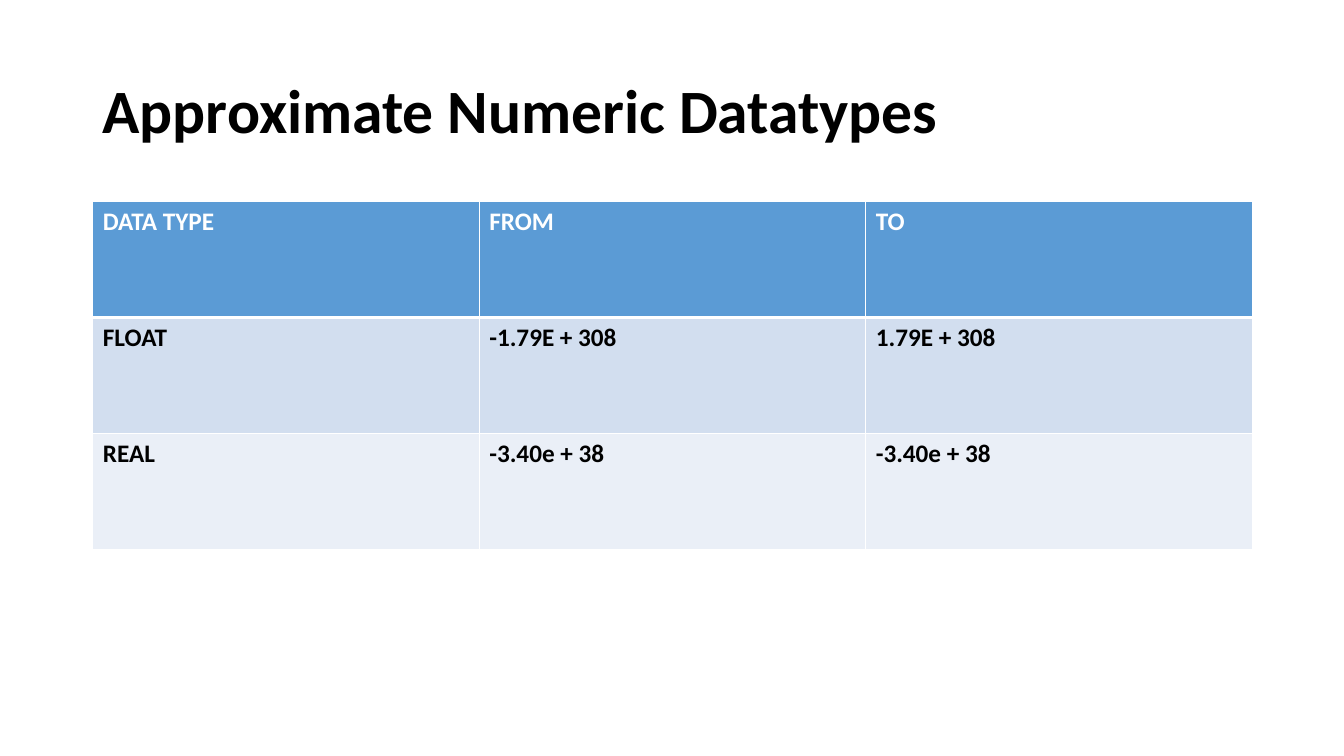
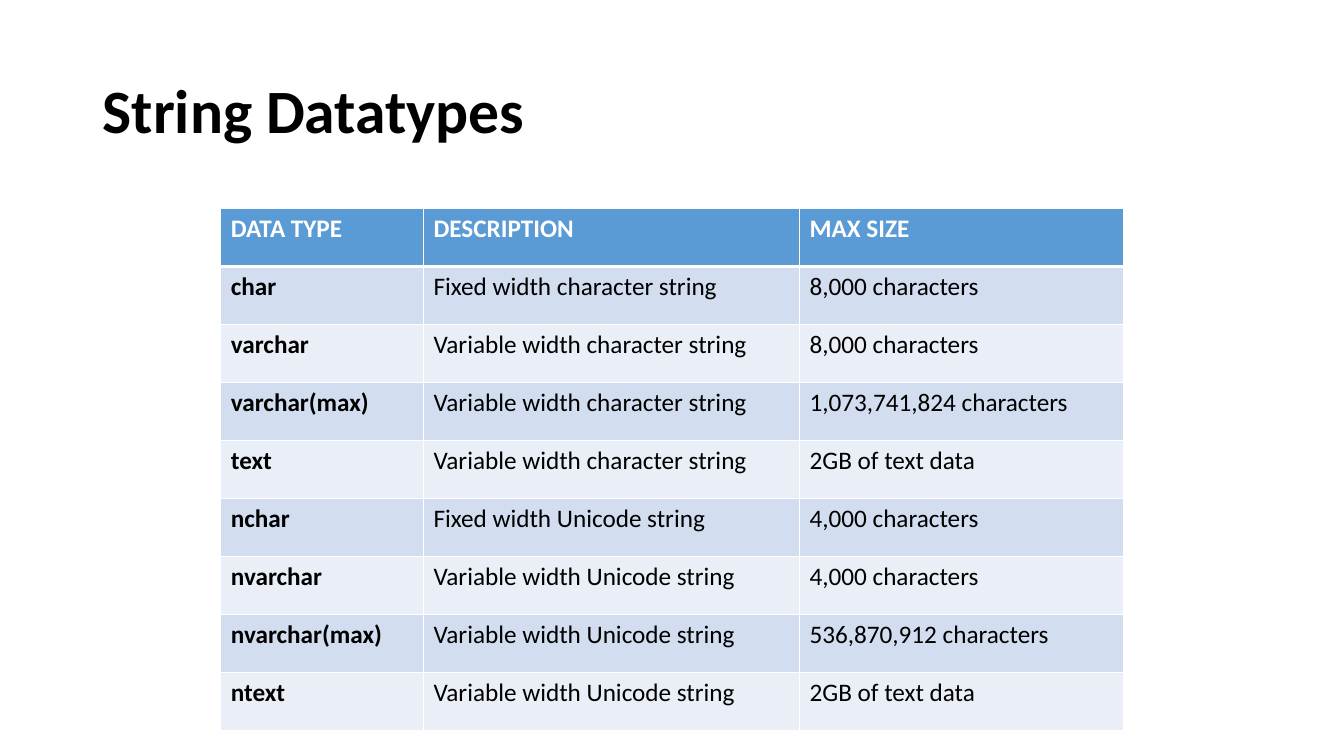
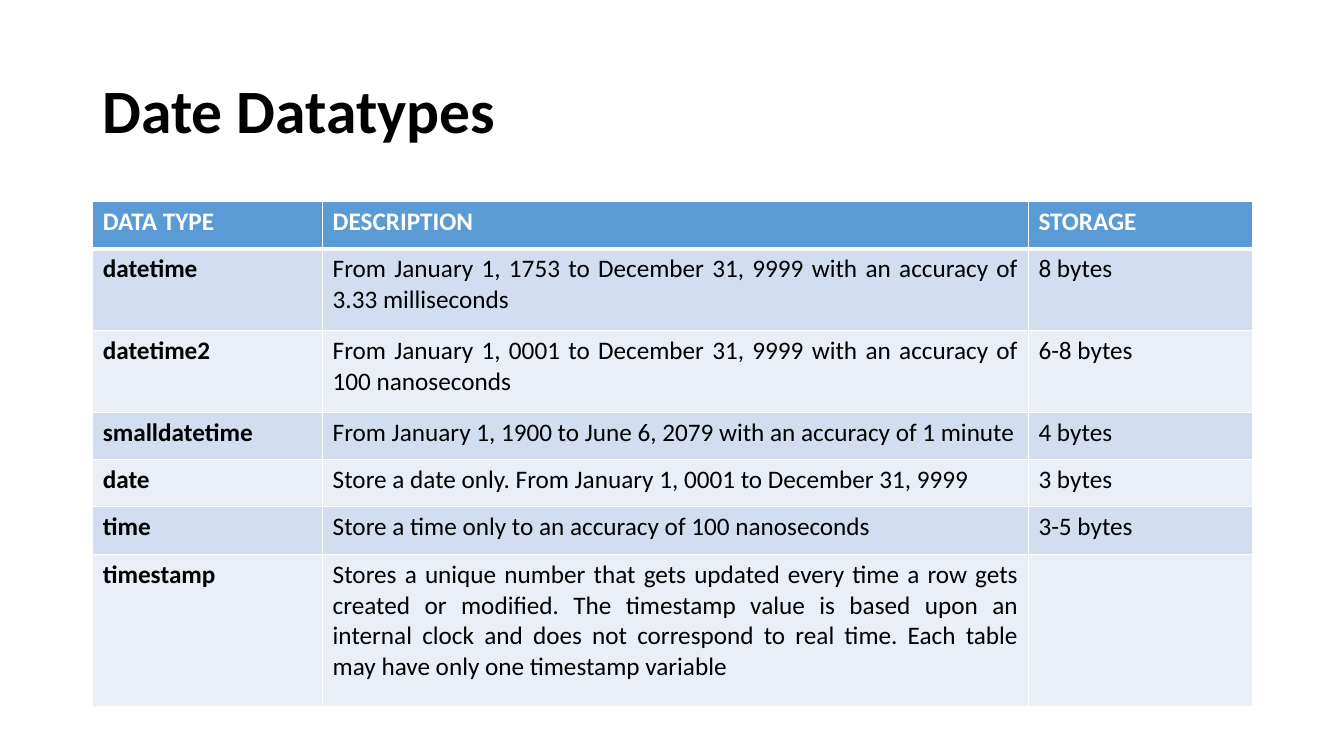
from lxml import etree
from pptx import Presentation, util as u
from pptx.dml.color import RGBColor
from pptx.enum import text
from pptx.oxml.ns import qn

FONT = "Calibri"
BLACK, WHITE = "000000", "FFFFFF"
HEADER_FILL = "5B9BD5"
BAND_FILLS = ("D2DEEF", "EAEFF7")
LEFT, WIDTH = 0.92, 11.5


def rgb(value):
    return RGBColor.from_string(value)


def set_borders(cell, widths):
    """Draw white cell edges; widths maps L, R, T and B to points."""
    properties = cell._tc.get_or_add_tcPr()
    for side, points in widths.items():
        line = etree.SubElement(properties, qn(f"a:ln{side}"), w=str(u.Pt(points)))
        fill = etree.SubElement(line, qn("a:solidFill"))
        etree.SubElement(fill, qn("a:srgbClr"), val=WHITE)


class Deck:
    def __init__(self):
        self.presentation = Presentation()
        self.presentation.slide_width = u.Inches(13.33)
        self.presentation.slide_height = u.Inches(7.5)
        self.slide = None

    def style(self, paragraph, size, color, bold):
        formats = {"name": FONT, "size": u.Pt(size), "bold": bold}
        for attribute, value in formats.items():
            setattr(paragraph.font, attribute, value)
        paragraph.font.color.rgb = rgb(color)

    def start_slide(self, heading):
        layout = self.presentation.slide_layouts[6]
        self.slide = self.presentation.slides.add_slide(layout)
        title = self.slide.shapes.add_textbox(
            *map(u.Inches, (LEFT, 0.4, WIDTH, 1.45))).text_frame
        title.word_wrap = True
        title.vertical_anchor = text.MSO_ANCHOR.MIDDLE
        title.text = heading
        title.paragraphs[0].line_spacing = 0.9
        self.style(title.paragraphs[0], 44, BLACK, True)

    def table(self, rows, widths, heights, left=LEFT, top=2,
              bold_columns=(0,), justified_columns=()):
        grid = self.slide.shapes.add_table(
            len(rows), len(widths),
            *map(u.Inches, (left, top, sum(widths), sum(heights)))).table
        for column, width in zip(grid.columns, widths):
            column.width = u.Inches(width)
        for r, (values, height) in enumerate(zip(rows, heights)):
            grid.rows[r].height = u.Inches(height)
            for c, value in enumerate(values):
                self.cell(grid.cell(r, c), value, r,
                          bold=r == 0 or c in bold_columns,
                          justified=r > 0 and c in justified_columns)

    def cell(self, cell, value, row, bold, justified):
        header = row == 0
        set_borders(cell, {"L": 1, "R": 1, "T": 3 if row == 1 else 1,
                           "B": 3 if header else 1})
        cell.fill.solid()
        cell.fill.fore_color.rgb = rgb(
            HEADER_FILL if header else BAND_FILLS[(row - 1) % 2])
        cell.text = value
        paragraph = cell.text_frame.paragraphs[0]
        if justified:
            paragraph.alignment = text.PP_ALIGN.JUSTIFY
        self.style(paragraph, 18, WHITE if header else BLACK, bold)


def main():
    deck = Deck()

    deck.start_slide("Approximate Numeric Datatypes")
    numeric_types = [
        ("DATA TYPE", "FROM", "TO"),
        ("FLOAT", "-1.79E + 308", "1.79E + 308"),
        ("REAL", "-3.40e + 38", "-3.40e + 38"),
    ]
    deck.table(numeric_types, [WIDTH / 3] * 3, [1.15] * 3, bold_columns=(0, 1, 2))

    deck.start_slide("String Datatypes")
    string_types = [
        ("DATA TYPE", "DESCRIPTION", "MAX SIZE"),
        ("char", "Fixed width character string", "8,000 characters"),
        ("varchar", "Variable width character string", "8,000 characters"),
        ("varchar(max)", "Variable width character string",
         "1,073,741,824 characters"),
        ("text", "Variable width character string", "2GB of text data"),
        ("nchar", "Fixed width Unicode string", "4,000 characters"),
        ("nvarchar", "Variable width Unicode string", "4,000 characters"),
        ("nvarchar(max)", "Variable width Unicode string",
         "536,870,912 characters"),
        ("ntext", "Variable width Unicode string", "2GB of text data"),
    ]
    deck.table(string_types, [2.01, 3.73, 3.21], [5.18 / 9] * 9,
               left=2.19, top=2.07)

    deck.start_slide("Date Datatypes")
    date_types = [
        ("DATA TYPE", "DESCRIPTION", "STORAGE"),
        ("datetime", "From January 1, 1753 to December 31, 9999 with an "
         "accuracy of 3.33 milliseconds", "8 bytes"),
        ("datetime2", "From January 1, 0001 to December 31, 9999 with an "
         "accuracy of 100 nanoseconds", "6-8 bytes"),
        ("smalldatetime", "From January 1, 1900 to June 6, 2079 with an "
         "accuracy of 1 minute", "4 bytes"),
        ("date", "Store a date only. From January 1, 0001 to December 31, 9999",
         "3 bytes"),
        ("time", "Store a time only to an accuracy of 100 nanoseconds",
         "3-5 bytes"),
        ("timestamp", "Stores a unique number that gets updated every time a "
         "row gets created or modified. The timestamp value is based upon an "
         "internal clock and does not correspond to real time. Each table may "
         "have only one timestamp variable", ""),
    ]
    deck.table(date_types, [2.28, 7, 2.22],
               [0.47, 0.81, 0.81, 0.47, 0.47, 0.47, 1.51],
               justified_columns=(1,))

    deck.presentation.save("out.pptx")


if __name__ == "__main__":
    main()
